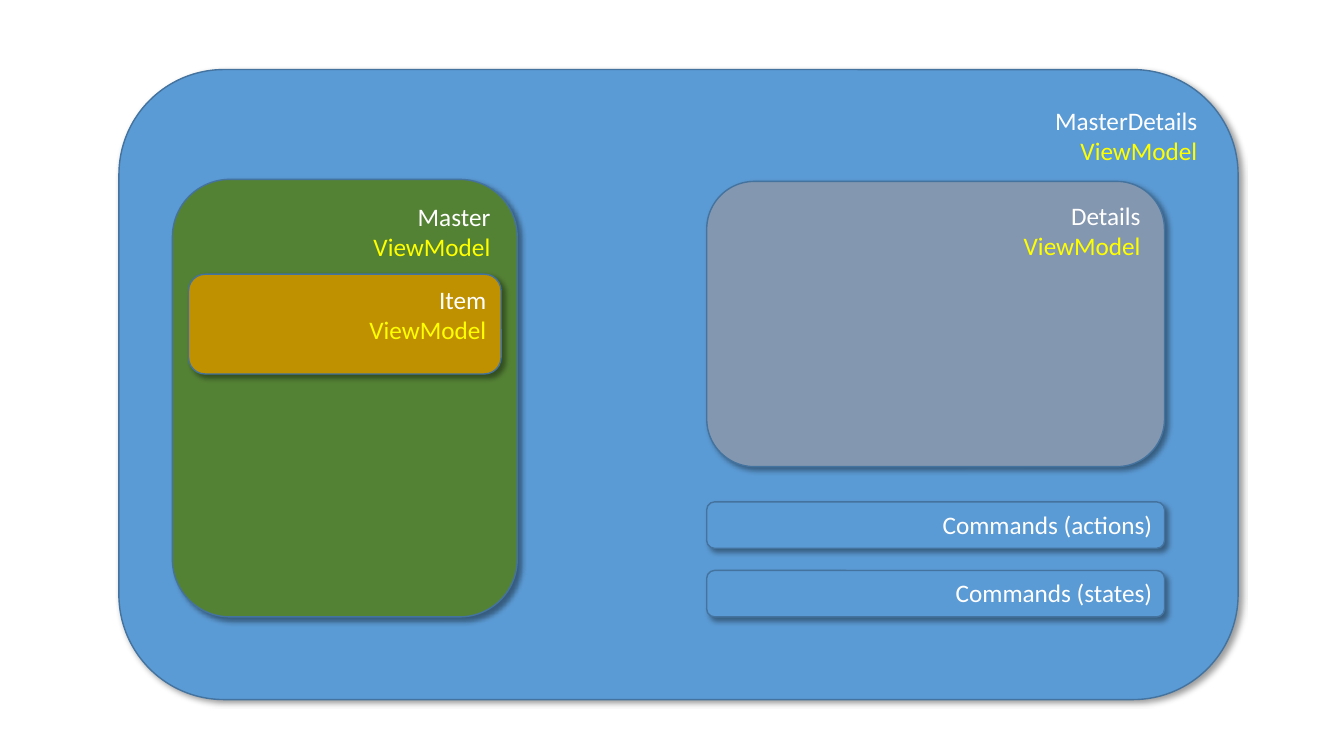
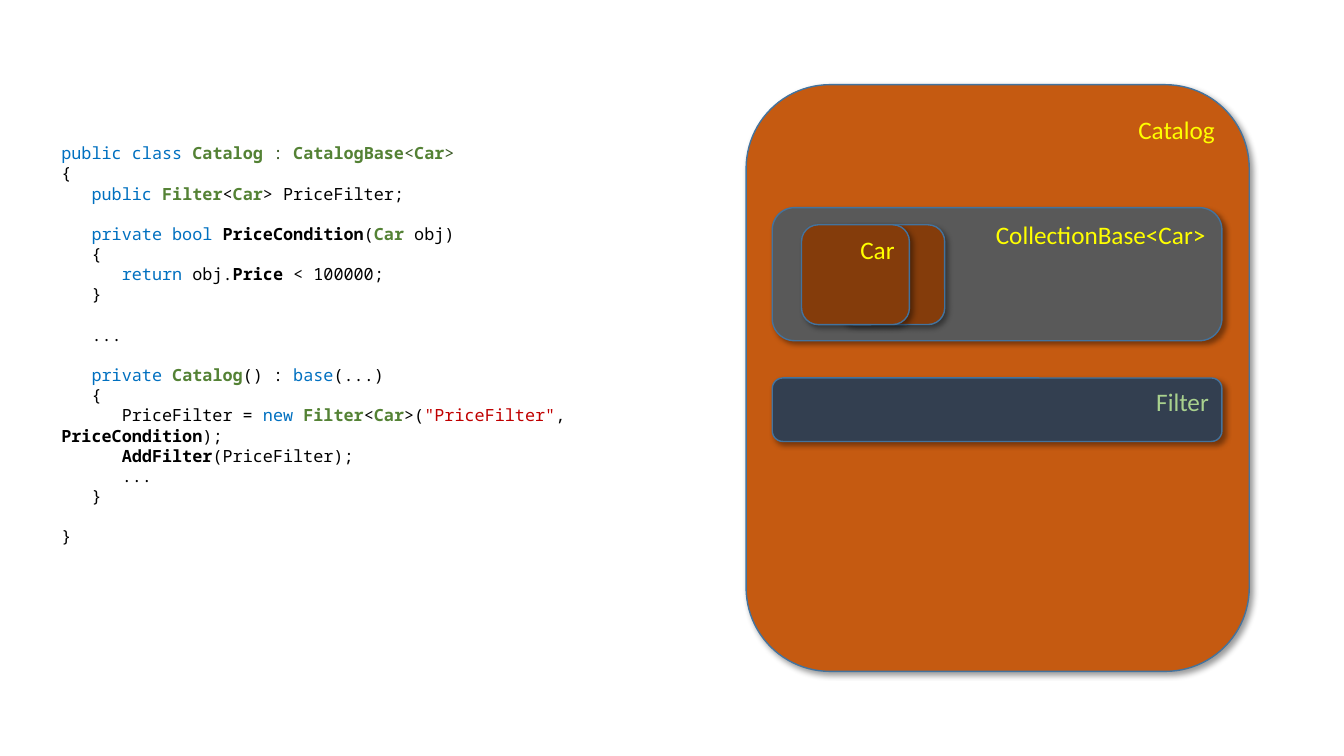
"""Build two slides on nested view models and a catalog class."""
from dataclasses import dataclass

from lxml.etree import SubElement
from pptx import Presentation
from pptx.dml.color import RGBColor
from pptx.enum.shapes import MSO_SHAPE as Preset
from pptx.enum.text import MSO_ANCHOR as Anchor, MSO_AUTO_SIZE as AutoSize, PP_ALIGN as Align
from pptx.oxml.ns import qn
from pptx.util import Inches, Pt


@dataclass(frozen=True)
class Theme:
    """Colours, fonts and type sizes that the slides share."""
    blue: str = "5B9BD5"
    green: str = "548235"
    gold: str = "BF9000"
    slate: str = "8497B0"
    orange: str = "C55A11"
    gray: str = "595959"
    brown: str = "843C0B"
    navy: str = "333F50"
    outline: str = "43739E"
    white: str = "FFFFFF"
    yellow: str = "FFFF00"
    mint: str = "A9D18E"
    black: str = "000000"
    label_font: str = "Calibri"
    label_size: int = 18
    code_font: str = "Noto Sans Mono"
    code_size: int = 12
    code_line: float = 14.4


THEME = Theme()
WIDTH, HEIGHT = 13.33, 7.5

CODE_STYLES = {
    "keyword": ("0070C0", False),
    "type": (THEME.green, True),
    "mark": ("385723", False),
    "name": (THEME.black, True),
    "plain": (THEME.black, False),
    "string": ("C00000", False),
}

CODE_BLOCKS = [
    [
        [("keyword", "public class "), ("type", "Catalog"), ("mark", " : "),
         ("type", "CatalogBase"), ("mark", "<"), ("type", "Car"), ("mark", ">")],
        [("plain", "{")],
        [("keyword", "   public "), ("type", "Filter"), ("plain", "<"),
         ("type", "Car"), ("plain", "> PriceFilter;")],
    ],
    [
        [("keyword", "   private bool "), ("name", "PriceCondition"), ("plain", "("),
         ("type", "Car "), ("plain", "obj)")],
        [("plain", "   {")],
        [("keyword", "      return "), ("plain", "obj."), ("name", "Price"),
         ("plain", " < 100000;")],
        [("plain", "   }")],
    ],
    [[("plain", "   ...")]],
    [
        [("keyword", "   private "), ("type", "Catalog"), ("plain", "() : "),
         ("keyword", "base"), ("plain", "(...)")],
        [("plain", "   {")],
        [("plain", "      PriceFilter = "), ("keyword", "new "), ("type", "Filter"),
         ("plain", "<"), ("type", "Car"), ("plain", ">("), ("string", '"PriceFilter"'),
         ("plain", ", "), ("name", "PriceCondition"), ("plain", ");")],
        [("name", "      AddFilter"), ("plain", "(PriceFilter);")],
        [("plain", "      ...")],
        [("plain", "   }")],
    ],
    [[("plain", "}")]],
]


def view_model(name):
    """Give the two label lines of a view model."""
    return [(name, THEME.white), ("ViewModel", THEME.yellow)]


def master_details_panels():
    """List the panels of the first slide, from back to front."""
    left, width = 7.01, 4.54
    command_top, command_height, command_step = 4.98, 0.46, 0.68
    panels = [
        ((1.18, 0.69, 11.1, 6.25), THEME.blue, view_model("MasterDetails")),
        ((1.71, 1.78, 3.42, 4.34), THEME.green, view_model("Master")),
        ((1.87, 2.72, 3.1, 0.99), THEME.gold, view_model("Item")),
        ((left, 1.8, width, 2.83), THEME.slate, view_model("Details")),
    ]
    for row, kind in enumerate(("actions", "states")):
        place = (left, command_top + row * command_step, width, command_height)
        panels.append((place, THEME.blue, [(f"Commands ({kind})", THEME.white)]))
    return panels


def catalog_panels():
    """List the panels of the second slide, from back to front."""
    left, width = 7.66, 4.46
    card_left, card_step = 7.95, 0.35
    panels = [
        ((7.4, 0.84, 4.99, 5.82), THEME.orange, [("Catalog", THEME.yellow)]),
        ((left, 2.06, width, 1.32), THEME.gray, [("CollectionBase<Car>", THEME.yellow)]),
        ((left, 3.75, width, 0.63), THEME.navy, [("Filter", THEME.mint)]),
    ]
    for step, label in ((1, []), (0, [("Car", THEME.yellow)])):
        place = (card_left + step * card_step, 2.23, 1.07, 0.99)
        panels.append((place, THEME.brown, label))
    return panels


def rgb(color):
    """Turn a hex string into a colour."""
    return RGBColor.from_string(color)


def inches(place):
    """Turn left, top, width and height into lengths."""
    return [Inches(length) for length in place]


def next_para(frame, index):
    """Give the first paragraph of a frame, or a new one."""
    return frame.add_paragraph() if index else frame.paragraphs[0]


def add_shadow(shape):
    """Give a shape a soft shadow to the lower right."""
    shape.shadow.inherit = False
    effects = shape._element.spPr.find(qn("a:effectLst"))
    shadow = SubElement(effects, qn("a:outerShdw"), blurRad=str(Pt(4)), dist=str(Pt(3)),
                        dir=str(45 * 60000), algn="tl", rotWithShape="0")
    color = SubElement(shadow, qn("a:srgbClr"), val=THEME.black)
    SubElement(color, qn("a:alpha"), val="40000")


def add_panel(page, place, fill, label):
    """Draw a rounded panel with its label at the top right."""
    panel = page.shapes.add_shape(Preset.ROUNDED_RECTANGLE, *inches(place))
    panel.fill.solid()
    panel.fill.fore_color.rgb = rgb(fill)
    panel.line.color.rgb = rgb(THEME.outline)
    panel.line.width = Pt(1)
    add_shadow(panel)
    frame = panel.text_frame
    frame.vertical_anchor = Anchor.TOP
    for index, (text, color) in enumerate(label):
        para = next_para(frame, index)
        para.text = text
        para.alignment = Align.RIGHT
        para.font.name = THEME.label_font
        para.font.size = Pt(THEME.label_size)
        para.font.color.rgb = rgb(color)


def add_code(page, place, blocks):
    """Write coloured code, with one line of space between blocks."""
    frame = page.shapes.add_textbox(*inches(place)).text_frame
    frame.word_wrap = True
    frame.auto_size = AutoSize.SHAPE_TO_FIT_TEXT
    lines = [(row == 0, line) for block in blocks for row, line in enumerate(block)]
    for index, (starts_block, line) in enumerate(lines):
        para = next_para(frame, index)
        para.line_spacing = Pt(THEME.code_line)
        if index and starts_block:
            para.space_before = Pt(THEME.code_line)
        para.font.name = THEME.code_font
        para.font.size = Pt(THEME.code_size)
        for style, text in line:
            color, bold = CODE_STYLES[style]
            span = para.add_run()
            span.text = text
            span.font.bold = bold
            span.font.color.rgb = rgb(color)


def main():
    """Build and save the deck."""
    deck = Presentation()
    deck.slide_width, deck.slide_height = Inches(WIDTH), Inches(HEIGHT)
    for panels in (master_details_panels(), catalog_panels()):
        page = deck.slides.add_slide(deck.slide_layouts[6])
        for panel in panels:
            add_panel(page, *panel)
    add_code(page, (0.51, 1.37, 6.62, 3.94), CODE_BLOCKS)
    deck.save("out.pptx")


if __name__ == "__main__":
    main()
